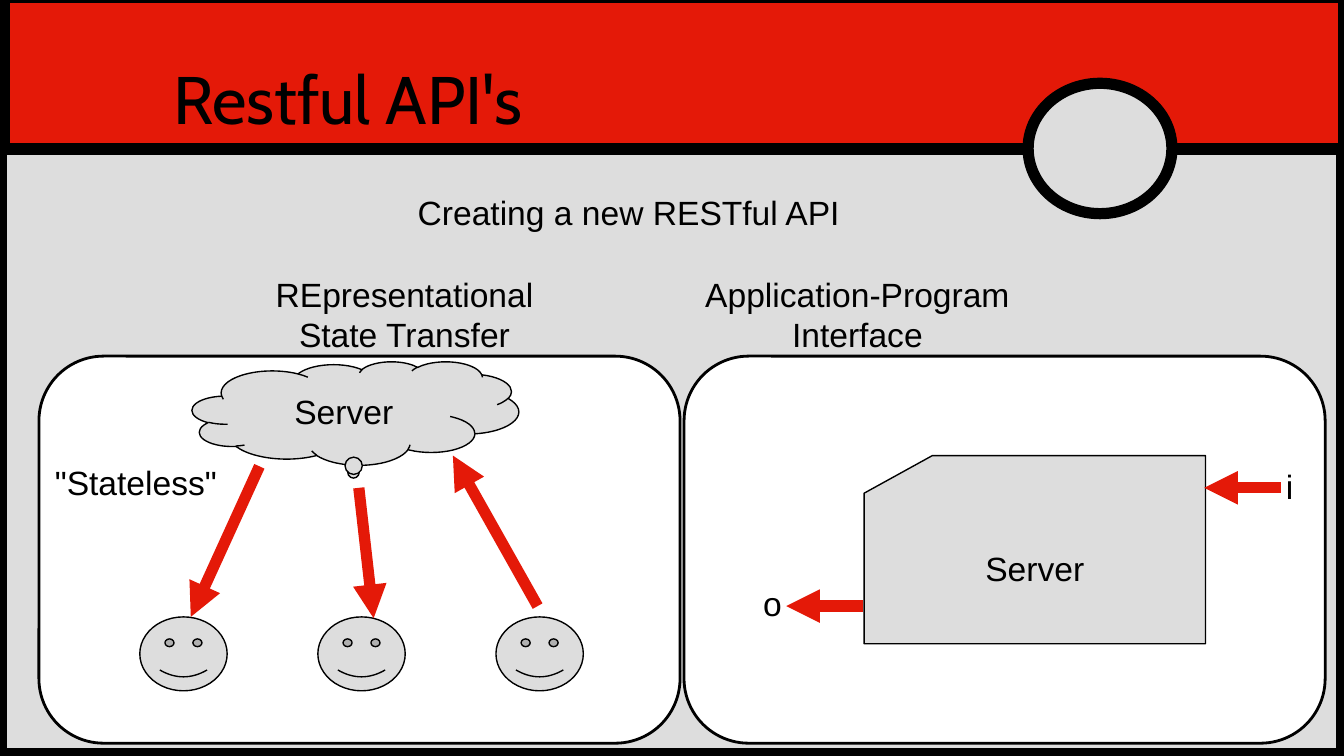
"""Build the RESTful API overview slide."""
import pptx
import pptx.util
import pptx.dml.color
import pptx.enum.shapes
import pptx.enum.text
import pptx.oxml
import pptx.oxml.ns

Inches = pptx.util.Inches
Shape = pptx.enum.shapes.MSO_SHAPE
Align = pptx.enum.text.PP_ALIGN

THEME = {
    "back": "808080", "red": "E41908", "gray": "DDDDDD", "white": "FFFFFF", "ink": "000000",
    "title_font": "Cabin", "body_font": "Arial", "title_size": 36, "body_size": 18,
    "thick": 6, "medium": 1.5, "thin": 0.75,
}

SLIDE_WIDTH = 10
SLIDE_HEIGHT = SLIDE_WIDTH * 9 / 16
FRAME = [
    (Shape.RECTANGLE, (0.01, 0.76, 9.97, 4.85), "gray"),
    (Shape.RECTANGLE, (0.03, -0.02, 9.97, 1.13), "red"),
    (Shape.OVAL, (7.65, 0.62, 1.07, 0.97), "gray"),
]
TITLE = ("Restful API's", (1.19, 0.38, 3.42, 0.7))
SUBTITLE = ("Creating a new RESTful API", (3.01, 1.38, 3.37, 0.4))
HEADINGS = [("REpresentational State Transfer", 1.69), ("Application-Program Interface", 5.06)]
HEADING_TOP, HEADING_SIZE = 1.99, (2.64, 0.7)
PANEL_LEFTS, PANEL_TOP, PANEL_SIZE = (0.29, 5.09), 2.65, (4.77, 2.88)
SERVERS = [
    (Shape.CLOUD_CALLOUT, (1.43, 2.69, 2.43, 0.77), (-0.006, 0.579)),
    (Shape.FLOWCHART_CARD, (6.43, 3.39, 2.54, 1.4), ()),
]
CLIENT_COUNT, CLIENT_FIRST, CLIENT_LAST = 3, 1.04, 3.69
CLIENT_TOP, CLIENT_SIZE = 4.59, (0.65, 0.55)
ARROWS = [
    ((1.93, 3.47), (1.42, 4.59)),
    ((2.67, 3.63), (2.78, 4.6)),
    ((4, 4.51), (3.37, 3.39)),
    ((6.42, 4.51), (5.85, 4.51)),
    ((9.53, 3.63), (8.96, 3.63)),
]
LABELS = [
    ("i", (9.47, 3.42, 0.34, 0.4)),
    ("o", (5.58, 4.29, 0.34, 0.4)),
    ('"Stateless"', (0.31, 3.39, 1.48, 0.4)),
]


def color(name):
    """Return a theme colour."""
    return pptx.dml.color.RGBColor.from_string(THEME[name])


def write(shape, text, align, kind="body"):
    """Put styled text into a shape."""
    shape.text_frame.text = text
    for para in shape.text_frame.paragraphs:
        para.alignment = align
        for span in para.runs:
            span.font.name = THEME[kind + "_font"]
            span.font.size = pptx.util.Pt(THEME[kind + "_size"])
            span.font.color.rgb = color("ink")


def add_shape(page, preset, place, fill, weight, adjustments=()):
    """Add a filled and outlined preset shape."""
    shape = page.shapes.add_shape(preset, *map(Inches, place))
    shape.shadow.inherit = False
    shape.fill.solid()
    shape.fill.fore_color.rgb = color(fill)
    shape.line.color.rgb = color("ink")
    shape.line.width = pptx.util.Pt(THEME[weight])
    for index, value in enumerate(adjustments):
        shape.adjustments[index] = value
    return shape


def add_label(page, text, place, align=Align.LEFT, kind="body"):
    """Add a wrapping text box that grows with its text."""
    box = page.shapes.add_textbox(*map(Inches, place))
    box.text_frame.word_wrap = True
    box.text_frame.auto_size = pptx.enum.text.MSO_AUTO_SIZE.SHAPE_TO_FIT_TEXT
    write(box, text, align, kind)


def add_arrow(page, start, end):
    """Add a thick red arrow."""
    straight = pptx.enum.shapes.MSO_CONNECTOR.STRAIGHT
    arrow = page.shapes.add_connector(straight, *map(Inches, start + end))
    arrow.line.color.rgb = color("red")
    arrow.line.width = pptx.util.Pt(THEME["thick"])
    head = pptx.oxml.parse_xml(f'<a:tailEnd {pptx.oxml.ns.nsdecls("a")} type="triangle"/>')
    arrow.line._get_or_add_ln().append(head)
    effects = pptx.oxml.parse_xml(f'<a:effectLst {pptx.oxml.ns.nsdecls("a")}/>')
    arrow._element.spPr.append(effects)


def main():
    """Lay out the slide and save it."""
    deck = pptx.Presentation()
    deck.slide_width, deck.slide_height = Inches(SLIDE_WIDTH), Inches(SLIDE_HEIGHT)
    page = deck.slides.add_slide(deck.slide_layouts[6])
    page.background.fill.solid()
    page.background.fill.fore_color.rgb = color("back")

    for preset, place, fill in FRAME:
        add_shape(page, preset, place, fill, "thick")
    add_label(page, *TITLE, kind="title")
    add_label(page, *SUBTITLE)
    for text, left in HEADINGS:
        add_label(page, text, (left, HEADING_TOP, *HEADING_SIZE), Align.CENTER)
    for left in PANEL_LEFTS:
        place = (left, PANEL_TOP, *PANEL_SIZE)
        add_shape(page, Shape.ROUNDED_RECTANGLE, place, "white", "medium", (0.167,))
    for preset, place, adjustments in SERVERS:
        server = add_shape(page, preset, place, "gray", "thin", adjustments)
        server.text_frame.word_wrap = False
        server.text_frame.vertical_anchor = pptx.enum.text.MSO_ANCHOR.MIDDLE
        write(server, "Server", Align.CENTER)
    client_step = (CLIENT_LAST - CLIENT_FIRST) / (CLIENT_COUNT - 1)
    for index in range(CLIENT_COUNT):
        place = (CLIENT_FIRST + index * client_step, CLIENT_TOP, *CLIENT_SIZE)
        add_shape(page, Shape.SMILEY_FACE, place, "gray", "thin", (0.047,))
    for start, end in ARROWS:
        add_arrow(page, start, end)
    for text, place in LABELS:
        add_label(page, text, place)

    deck.save("out.pptx")


if __name__ == "__main__":
    main()
